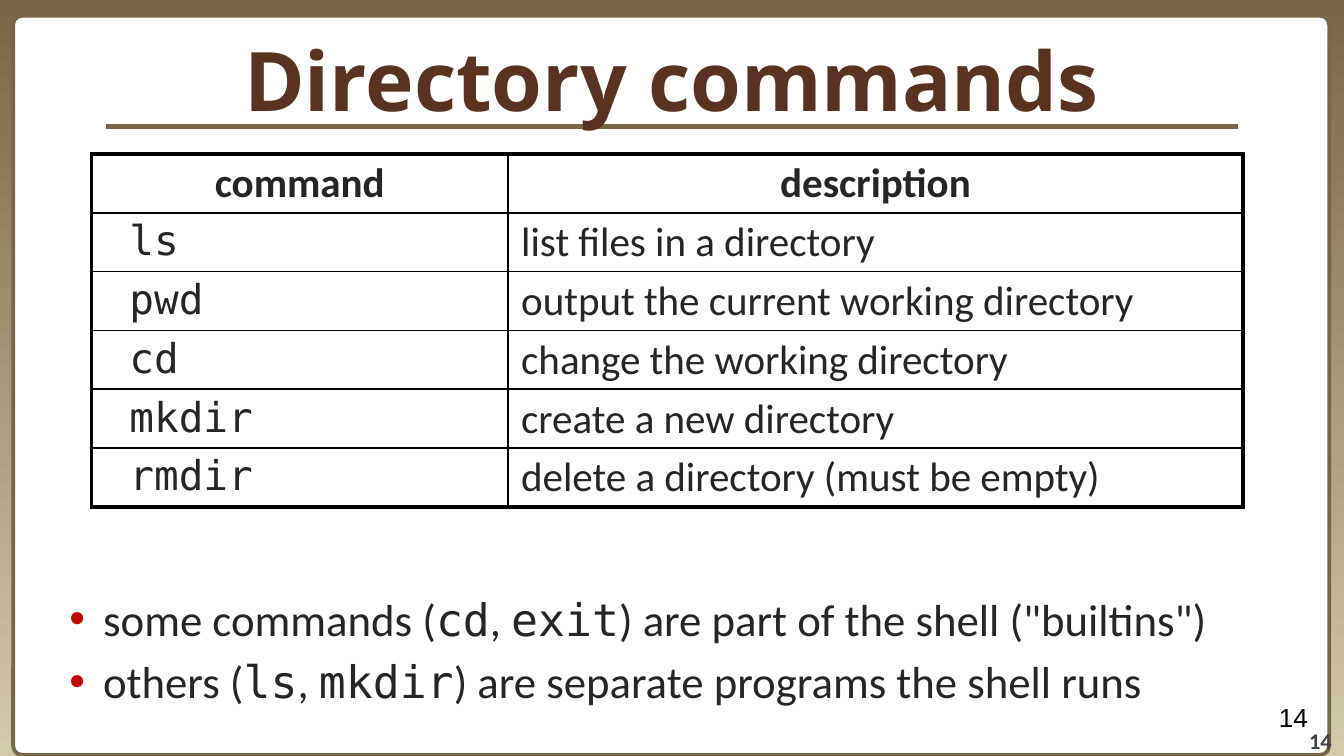
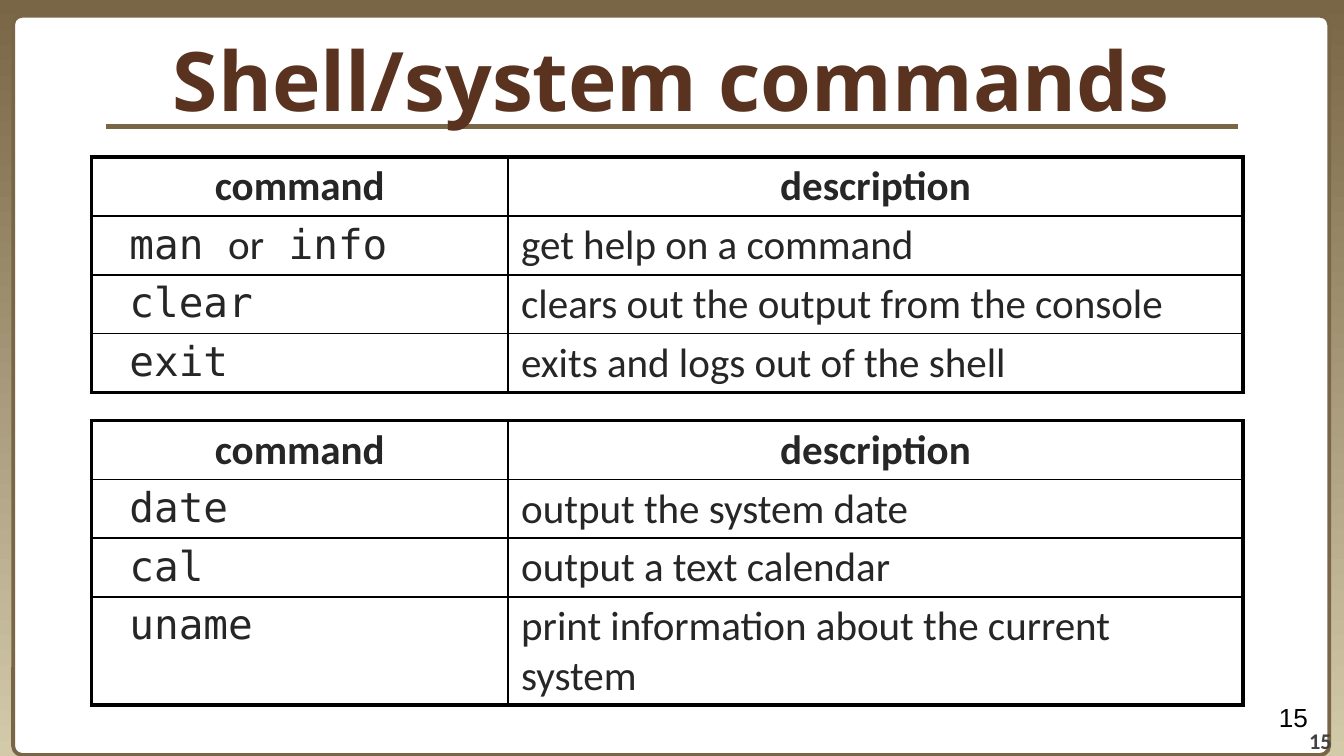
from lxml import etree
from pptx import Presentation
from pptx.dml.color import RGBColor
from pptx.enum.shapes import MSO_CONNECTOR, MSO_SHAPE
from pptx.enum.text import MSO_ANCHOR, PP_ALIGN
from pptx.oxml.ns import qn
from pptx.util import Cm, Pt

ROUNDED = MSO_SHAPE.ROUNDED_RECTANGLE
STRAIGHT = MSO_CONNECTOR.STRAIGHT
TOP, MIDDLE, BOTTOM = MSO_ANCHOR.TOP, MSO_ANCHOR.MIDDLE, MSO_ANCHOR.BOTTOM
LEFT, CENTER, RIGHT = PP_ALIGN.LEFT, PP_ALIGN.CENTER, PP_ALIGN.RIGHT

COLORS = {
    "frame": "796646",
    "sand": "D3CAAA",
    "panel": "FFFFFF",
    "title": "5A3320",
    "text": "262626",
    "footer": "424242",
    "bullet": "BD0901",
    "black": "000000",
}

# Text formats
MONO = "DejaVu Sans Mono"
TITLE = {"name": "Open Sans", "size": Pt(44), "bold": True, "color": "title"}
BODY = {"name": "Calibri", "size": Pt(24), "bold": False, "color": "text"}
CELL = {**BODY, "size": Pt(22)}
HEADER = {**CELL, "bold": True}
FOOTER = {"name": "Calibri", "size": Pt(12), "bold": True, "color": "footer"}
PAGE = {"name": "Arial", "size": Pt(14), "bold": False, "color": "black"}

# Table measures
TABLE_LEFT = 1.73
COLUMN_WIDTHS = (7.87, 13.89)
ROW_HEIGHT = 0.84
THIN, THICK = Pt(1), Pt(2.25)

DIRECTORY_COMMANDS = [
    ("` ls`", "list files in a directory"),
    ("` pwd`", "output the current working directory"),
    ("` cd`", "change the working directory"),
    ("` mkdir`", "create a new directory"),
    ("` rmdir`", "delete a directory (must be empty)"),
]
SHELL_COMMANDS = [
    ("` man `or` info`", "get help on a command"),
    ("` clear`", "clears out the output from the console"),
    ("` exit`", "exits and logs out of the shell"),
]
SYSTEM_COMMANDS = [
    ("` date`", "output the system date"),
    ("` cal`", "output a text calendar"),
    ("` uname`", "print information about the current system"),
]
SHELL_NOTES = [
    'some commands (`cd`, `exit`) are part of the shell ("builtins")',
    "others (`ls`, `mkdir`) are separate programs the shell runs",
]


def rgb(color):
    return RGBColor.from_string(COLORS[color])


def write(paragraph, text, style, align=LEFT):
    """Fill a paragraph; parts between backticks are set in the code font."""
    paragraph.alignment = align
    for i, part in enumerate(text.split("`")):
        if not part:
            continue
        run = paragraph.add_run()
        run.text = part
        look = {**style, "name": MONO} if i % 2 else style
        for key, value in look.items():
            if key == "color":
                run.font.color.rgb = rgb(value)
            else:
                setattr(run.font, key, value)


def add_text(slide, box, lines, style, align=LEFT, anchor=TOP, inset=(0.25, 0.13)):
    frame = slide.shapes.add_textbox(*map(Cm, box)).text_frame
    side, edge = map(Cm, inset)
    layout = {"word_wrap": True, "vertical_anchor": anchor,
              "margin_left": side, "margin_right": side,
              "margin_top": edge, "margin_bottom": edge}
    for key, value in layout.items():
        setattr(frame, key, value)
    for i, line in enumerate(lines):
        paragraph = frame.add_paragraph() if i else frame.paragraphs[0]
        write(paragraph, line, style, align)
    return frame


def add_bullets(slide, box, lines):
    for paragraph in add_text(slide, box, lines, BODY).paragraphs:
        paragraph.space_after = Pt(4.8)
        props = paragraph._p.get_or_add_pPr()
        props.set("marL", str(Cm(1.27)))
        props.set("indent", str(-Cm(0.64)))
        tint = etree.SubElement(props, qn("a:buClr"))
        etree.SubElement(tint, qn("a:srgbClr"), val=COLORS["bullet"])
        etree.SubElement(props, qn("a:buFont"), typeface="Arial")
        etree.SubElement(props, qn("a:buChar"), char="•")


def set_borders(cell, widths):
    """Draw black cell borders, given as widths for left, right, top, bottom."""
    props = cell._tc.get_or_add_tcPr()
    for i, (side, width) in enumerate(zip("LRTB", widths)):
        line = etree.Element(qn(f"a:ln{side}"), w=str(width))
        fill = etree.SubElement(line, qn("a:solidFill"))
        etree.SubElement(fill, qn("a:srgbClr"), val=COLORS["black"])
        props.insert(i, line)


def add_command_table(slide, top, commands):
    rows = [("command", "description"), *commands]
    last_row, last_col = len(rows) - 1, len(COLUMN_WIDTHS) - 1
    table = slide.shapes.add_table(
        len(rows), len(COLUMN_WIDTHS), Cm(TABLE_LEFT), Cm(top),
        Cm(sum(COLUMN_WIDTHS)), Cm(ROW_HEIGHT * len(rows))).table
    table.first_row = table.horz_banding = False
    for column, width in zip(table.columns, COLUMN_WIDTHS):
        column.width = Cm(width)
    for r, row in enumerate(rows):
        table.rows[r].height = Cm(ROW_HEIGHT)
        for c, text in enumerate(row):
            cell = table.cell(r, c)
            cell.margin_left = cell.margin_right = Cm(0.25)
            cell.margin_top = cell.margin_bottom = Cm(0.09)
            cell.fill.background()
            outer = (c == 0, c == last_col, r == 0, r == last_row)
            set_borders(cell, [THICK if edge else THIN for edge in outer])
            style, align = (CELL, LEFT) if r else (HEADER, CENTER)
            write(cell.text_frame.paragraphs[0], text, style, align)


def add_frame(slide):
    # Gradient behind the panel, dark at the top
    backdrop = slide.background.fill
    backdrop.gradient()
    backdrop.gradient_angle = 270
    for stop, color in zip(backdrop.gradient_stops, ("frame", "sand")):
        stop.color.rgb = rgb(color)

    # White panel
    panel = slide.shapes.add_shape(ROUNDED, Cm(0.25), Cm(0.3), Cm(24.87), Cm(13.97))
    panel.adjustments[0] = 0.012
    panel.shadow.inherit = False
    panel.fill.solid()
    panel.fill.fore_color.rgb = rgb("panel")
    panel.line.color.rgb = rgb("frame")
    panel.line.width = Pt(2)


def add_title_rule(slide):
    rule = slide.shapes.add_connector(STRAIGHT, Cm(2), Cm(2.39), Cm(23.4), Cm(2.39))
    rule.line.color.rgb = rgb("frame")
    rule.line.width = Pt(2.25)
    etree.SubElement(rule._element.spPr, qn("a:effectLst"))


def add_command_slide(prs, title, number):
    slide = prs.slides.add_slide(prs.slide_layouts[6])
    add_frame(slide)
    add_text(slide, (23.06, 13.49, 2.11, 0.76), [number], FOOTER, RIGHT, BOTTOM, (0, 0))
    add_title_rule(slide)
    add_text(slide, (0, 0.3, 25.4, 2.39), [title], TITLE, CENTER, MIDDLE)
    add_text(slide, (19.05, 13.13, 5.92, 0.99), [number], PAGE, RIGHT)
    return slide


def main():
    prs = Presentation()
    prs.slide_width, prs.slide_height = Cm(25.4), Cm(14.29)

    # Directory commands
    directory = add_command_slide(prs, "Directory commands", "14")
    add_bullets(directory, (0.43, 11.05, 24.56, 2.5), SHELL_NOTES)
    add_command_table(directory, 2.91, DIRECTORY_COMMANDS)

    # Shell/system commands
    shell = add_command_slide(prs, "Shell/system commands", "15")
    add_command_table(shell, 2.97, SHELL_COMMANDS)
    add_command_table(shell, 7.95, SYSTEM_COMMANDS)

    prs.save("out.pptx")


if __name__ == "__main__":
    main()
